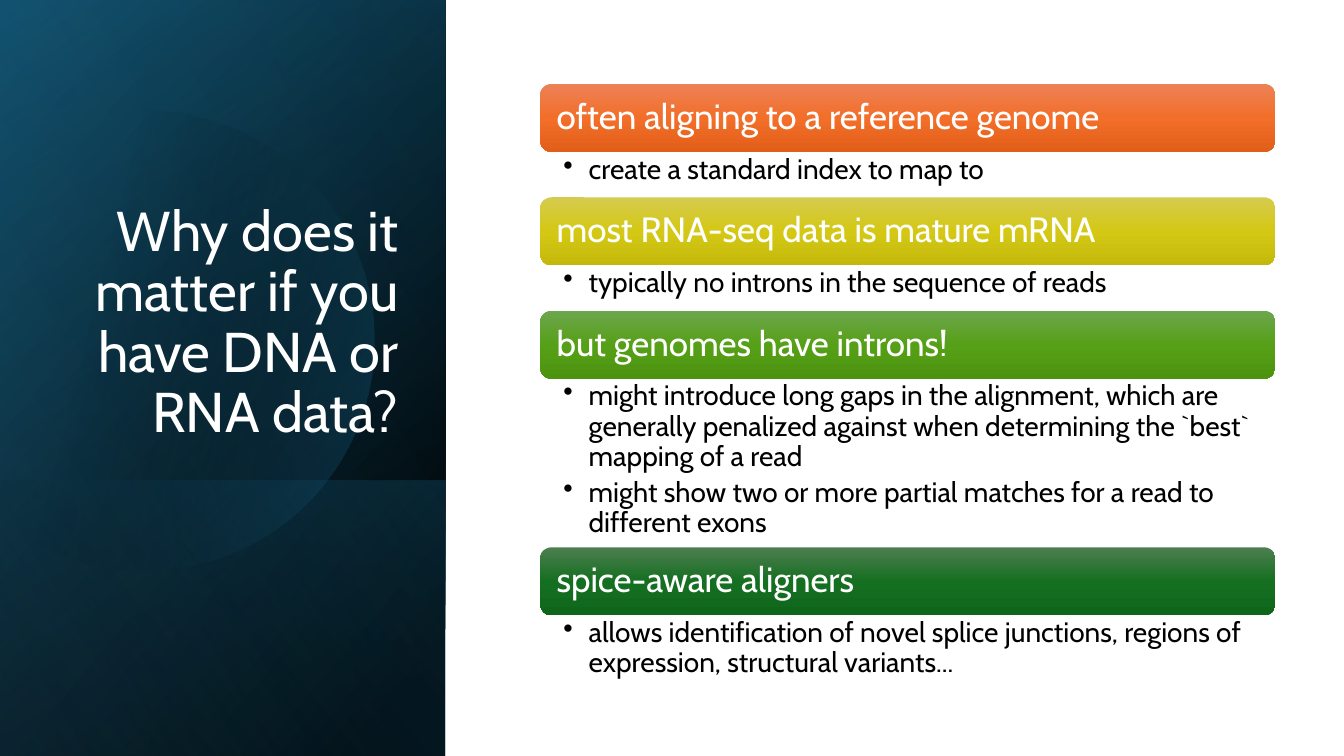
from math import acos, cos, sin
from pptx import Presentation
from pptx.dml.color import RGBColor
from pptx.enum.shapes import MSO_SHAPE
from pptx.enum.text import MSO_ANCHOR, PP_ALIGN
from pptx.oxml import parse_xml
from pptx.oxml.ns import nsdecls
from pptx.util import Inches, Pt

THEME = {
    "font": "Cabin", "title": 40, "band": 25, "note": 20,
    "light": "FFFFFF", "dark": "000000",
    "navy": "104862", "teal": "156082", "sky": "46B1E1",
}
W, H = 13.33, 7.5
PANEL = W * 0.3315
LEFT, WIDTH = W * 0.402, W * 0.547
TOP, BAND = H * 0.111, H * 0.09


def paint(shape, stops, angle):
    gs = "".join(
        f'<a:gs pos="{pos * 1000}"><a:srgbClr val="{color}">'
        f'<a:alpha val="{alpha * 1000}"/></a:srgbClr></a:gs>'
        for pos, color, alpha in stops)
    shape.element.spPr.insert(2, parse_xml(
        f'<a:gradFill {nsdecls("a")} rotWithShape="1"><a:gsLst>{gs}</a:gsLst>'
        f'<a:lin ang="{angle * 60000}" scaled="0"/></a:gradFill>'))
    shape.line.fill.background()
    shape.shadow.inherit = False


def write(tf, lines, size, color, align=PP_ALIGN.LEFT):
    tf.word_wrap = True
    tf.text = "\n".join(lines)
    for p in tf.paragraphs:
        p.alignment = align
        p.line_spacing = 0.9
        font = p.runs[0].font
        font.name = THEME["font"]
        font.size = Pt(THEME[size])
        font.color.rgb = RGBColor.from_string(THEME[color])


prs = Presentation()
prs.slide_width, prs.slide_height = Inches(W), Inches(H)
s = prs.slides.add_slide(prs.slide_layouts[5])

dark, teal = THEME["dark"], THEME["teal"]
layers = [
    (H, [(8, dark, 100), (100, THEME["navy"], 100)], 50),
    (H, [(0, dark, 0), (99, teal, 46)], 30),
    (H * 0.365, [(2, teal, 29), (100, dark, 30)], 130),
    ("disc", [(29, dark, 0), (100, teal, 43)], 14),
    (H, [(0, dark, 0), (99, THEME["sky"], 11)], 120),
]
for height, stops, angle in layers:
    if height == "disc":
        cx, cy, radius, steps = 1.43, 3.38, 2.28, 120
        cut = acos(-cx / radius)
        turns = [cut * (2 * i / steps - 1) for i in range(steps + 1)]
        points = [(Inches(cx + radius * cos(t)), Inches(cy + radius * sin(t)))
                  for t in turns]
        fb = s.shapes.build_freeform(*points[0])
        fb.add_line_segments(points[1:], close=True)
        layer = fb.convert_to_shape()
    else:
        layer = s.shapes.add_shape(
            MSO_SHAPE.RECTANGLE, Inches((PANEL - height) / 2),
            Inches(H - (height + PANEL) / 2), Inches(height), Inches(PANEL))
        layer.rotation = 90
        layer.element.spPr.xfrm.set("flipH", "1")
    paint(layer, stops, angle)

title = s.shapes.title
title.element.getparent().append(title.element)
title.left, title.top = Inches(W * 0.048), Inches(H * 0.245)
title.width, title.height = Inches(W * 0.256), Inches(H * 0.35)
write(title.text_frame, ["Why does it matter if you have DNA or RNA data?"],
      "title", "light", PP_ALIGN.RIGHT)
title.text_frame.vertical_anchor = MSO_ANCHOR.BOTTOM

sections = [
    ("often aligning to a reference genome", ("ED8257", "F26E29", "E25F1A"),
     0.06, ["create a standard index to map to"]),
    ("most RNA-seq data is mature mRNA", ("D5CB4E", "D4C815", "C4B90B"),
     0.06, ["typically no introns in the sequence of reads"]),
    ("but genomes have introns!", ("6DA64E", "56A017", "4C930F"), 0.223,
     ["might introduce long gaps in the alignment, which are generally "
      "penalized against when determining the `best` mapping of a read",
      "might show two or more partial matches for a read to different exons"]),
    ("spice-aware aligners", ("4D7E50", "156F21", "0F661B"), 0.092,
     ["allows identification of novel splice junctions, regions of "
      "expression, structural variants..."]),
]
y = TOP
for heading, shades, share, notes in sections:
    band = s.shapes.add_shape(MSO_SHAPE.ROUNDED_RECTANGLE, Inches(LEFT),
                              Inches(y), Inches(WIDTH), Inches(BAND))
    paint(band, [(50 * i, shade, 100) for i, shade in enumerate(shades)], 90)
    tf = band.text_frame
    write(tf, [heading], "band", "light")
    tf.vertical_anchor = MSO_ANCHOR.MIDDLE
    tf.margin_left = tf.margin_right = Inches(0.13)
    y += BAND

    box = s.shapes.add_textbox(Inches(LEFT), Inches(y), Inches(WIDTH),
                               Inches(H * share))
    tf = box.text_frame
    write(tf, notes, "note", "dark")
    tf.margin_left, tf.margin_right = Inches(0.23), Inches(0.19)
    tf.margin_top = tf.margin_bottom = Inches(0.03)
    for p in tf.paragraphs:
        p.space_after = Pt(4)
        pPr = p._p.get_or_add_pPr()
        pPr.set("marL", str(Inches(0.25)))
        pPr.set("indent", str(-Inches(0.25)))
        pPr.append(parse_xml(f'<a:buChar {nsdecls("a")} char="•"/>'))
    y += H * share

prs.save("out.pptx")
